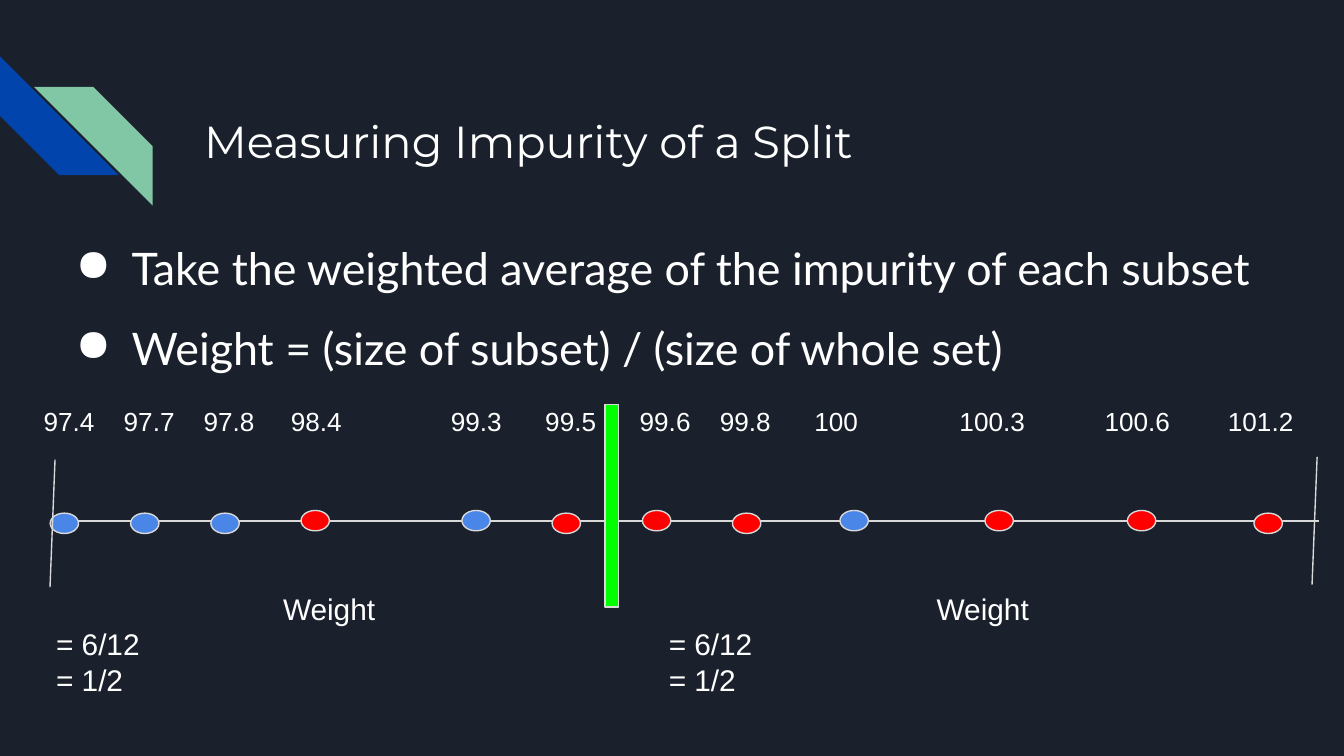
import pptx
import pptx.dml.color
import pptx.enum.shapes
import pptx.enum.text
import pptx.oxml.ns
import pptx.util
from dataclasses import dataclass
from lxml import etree

Pt = pptx.util.Pt
SHAPE = pptx.enum.shapes.MSO_SHAPE
ALIGN = pptx.enum.text.PP_ALIGN


@dataclass(frozen=True)
class Theme:
    """Colours, fonts and sizes used on the slide."""
    background: str = "1B212C"
    text: str = "FFFFFF"
    outline: str = "D9D9D9"
    navy: str = "0145AC"
    mint: str = "82C7A5"
    blue: str = "4A86E8"
    red: str = "FF0000"
    split: str = "00FF00"
    heading_font: str = "Montserrat"
    body_font: str = "Lato"
    diagram_font: str = "Arial"
    heading_size: int = 24
    label_size: int = 14
    weight_size: int = 16
    line_width: float = 0.75
    inset: float = 7.2


THEME = Theme()
# value, centre of its label, centre of its dot, dot colour, drop of the dot
READINGS = [
    ("97.4", 37.2, 34.5, THEME.blue, 1.4),
    ("97.7", 80.1, 77.6, THEME.blue, 1.4),
    ("97.8", 122.9, 120.6, THEME.blue, 1.4),
    ("98.4", 169.6, 168.9, THEME.red, 0),
    ("99.3", 255.3, 255.1, THEME.blue, 0),
    ("99.5", 305.9, 303.4, THEME.red, 1.4),
    ("99.6", 356.5, 351.8, THEME.red, 0),
    ("99.8", 399.4, 400, THEME.red, 1.4),
    ("100", 448.1, 457.6, THEME.blue, 0),
    ("100.3", 531.7, 535.3, THEME.red, 0),
    ("100.6", 609.4, 611.6, THEME.red, 0),
    ("101.2", 675.5, 679.4, THEME.red, 1.4),
]


def rgb(code):
    """Turn a hex code into a colour."""
    return pptx.dml.color.RGBColor.from_string(code)


def add_child(parent, tag, **attributes):
    """Append a DrawingML element to parent."""
    return etree.SubElement(parent, pptx.oxml.ns.qn(tag), attributes)


def add_filled(slide, preset, box, fill, outlined=True):
    """Draw a preset shape with a plain fill."""
    shape = slide.shapes.add_shape(preset, *map(Pt, box))
    shape.shadow.inherit = False
    shape.fill.solid()
    shape.fill.fore_color.rgb = rgb(fill)
    if outlined:
        shape.line.color.rgb = rgb(THEME.outline)
        shape.line.width = Pt(THEME.line_width)
    else:
        shape.line.fill.background()
    return shape


def add_rule(slide, start, end):
    """Draw a thin straight line."""
    rule = slide.shapes.add_connector(
        pptx.enum.shapes.MSO_CONNECTOR.STRAIGHT, *map(Pt, start + end))
    rule.line.color.rgb = rgb(THEME.outline)
    rule.line.width = Pt(THEME.line_width)
    add_child(rule._element.spPr, "a:effectLst")


def add_text(slide, box, lines, font, size):
    """Write lines in a wrapping text box and return its paragraphs."""
    frame = slide.shapes.add_textbox(*map(Pt, box)).text_frame
    frame.word_wrap = True
    frame.margin_left = frame.margin_right = Pt(THEME.inset)
    frame.margin_top = frame.margin_bottom = Pt(THEME.inset)
    frame.text = "\n".join(lines)
    for paragraph in frame.paragraphs:
        paragraph.font.name = font
        paragraph.font.size = Pt(size)
        paragraph.font.color.rgb = rgb(THEME.text)
    return frame.paragraphs


def draw_corner(slide, left, top, side):
    """Draw the two interlocking corner stripes."""
    stripes = ((0, 0, 270, THEME.navy), (18.2, 16.4, 90, THEME.mint))
    for dx, dy, rotation, fill in stripes:
        stripe = add_filled(slide, SHAPE.DIAGONAL_STRIPE,
                            (left + dx, top + dy, side, side), fill, False)
        stripe.adjustments[0] = 0.5
        stripe.rotation = rotation


def write_bullets(slide, box, lines):
    """Write the bulleted statements."""
    for paragraph in add_text(slide, box, lines, THEME.body_font,
                              THEME.heading_size):
        paragraph.line_spacing = 1.5
        properties = paragraph._p.get_or_add_pPr()
        properties.set("marL", str(Pt(36)))
        properties.set("indent", str(Pt(-30)))
        bullet = etree.Element(pptx.oxml.ns.qn("a:buChar"), char="●")
        properties.find(pptx.oxml.ns.qn("a:defRPr")).addprevious(bullet)


def write_labels(slide, box):
    """Write the values in one line, centred on tab stops."""
    values = "".join("\t" + reading[0] for reading in READINGS)
    paragraph, = add_text(slide, box, [values], THEME.diagram_font,
                          THEME.label_size)
    properties = paragraph._p.get_or_add_pPr()
    stops = etree.Element(pptx.oxml.ns.qn("a:tabLst"))
    for _, centre, *_ in READINGS:
        position = Pt(centre - box[0] - THEME.inset)
        add_child(stops, "a:tab", pos=str(position), algn="ctr")
    properties.find(pptx.oxml.ns.qn("a:defRPr")).addprevious(stops)


def draw_number_line(slide, left, top, width, height):
    """Draw the axis, its dots, end ticks, labels and the split bar."""
    axis = top + 69
    dot_width, dot_height = 15.2, 10.9
    add_rule(slide, (left, axis), (left + width, axis))
    for _, _, centre, colour, drop in READINGS:
        add_filled(slide, SHAPE.OVAL,
                   (centre - dot_width / 2, axis - 5.7 + drop,
                    dot_width, dot_height), colour)
    for x, y in ((left, top + 36), (left + 676.1, top + 34.6)):
        add_rule(slide, (x + 2.7, y), (x, y + 68.4))
    write_labels(slide, (5, top - 0.2, 715, 14.4))
    add_filled(slide, SHAPE.RECTANGLE,
               (left + 297.4, top + 6.4, 7.2, height), THEME.split)


def write_weight(slide, box):
    """Write the weight of one subset under a centred caption."""
    caption, *_ = add_text(slide, box, ["Weight", "= 6/12", "= 1/2"],
                           THEME.diagram_font, THEME.weight_size)
    caption.alignment = ALIGN.CENTER


def build_split_slide(deck):
    """Build the slide on measuring the impurity of a split."""
    slide = deck.slides.add_slide(deck.slide_layouts[6])
    slide.background.fill.solid()
    slide.background.fill.fore_color.rgb = rgb(THEME.background)
    draw_corner(slide, 0, 30.2, 63.6)
    add_text(slide, (102.3, 54, 554.4, 72), ["Measuring Impurity of a Split"],
             THEME.heading_font, THEME.heading_size)
    write_bullets(slide, (27.4, 107.3, 667.4, 93.6), [
        "Take the weighted average of the impurity of each subset",
        "Weight = (size of subset) / (size of whole set)"])
    draw_number_line(slide, 26.8, 210.2, 679.7, 108.7)
    for left, width in ((23, 306.7), (351.2, 350.6)):
        write_weight(slide, (left, 309, width, 79.2))


deck = pptx.Presentation()
deck.slide_width, deck.slide_height = Pt(720), Pt(405)
build_split_slide(deck)
deck.save("out.pptx")
